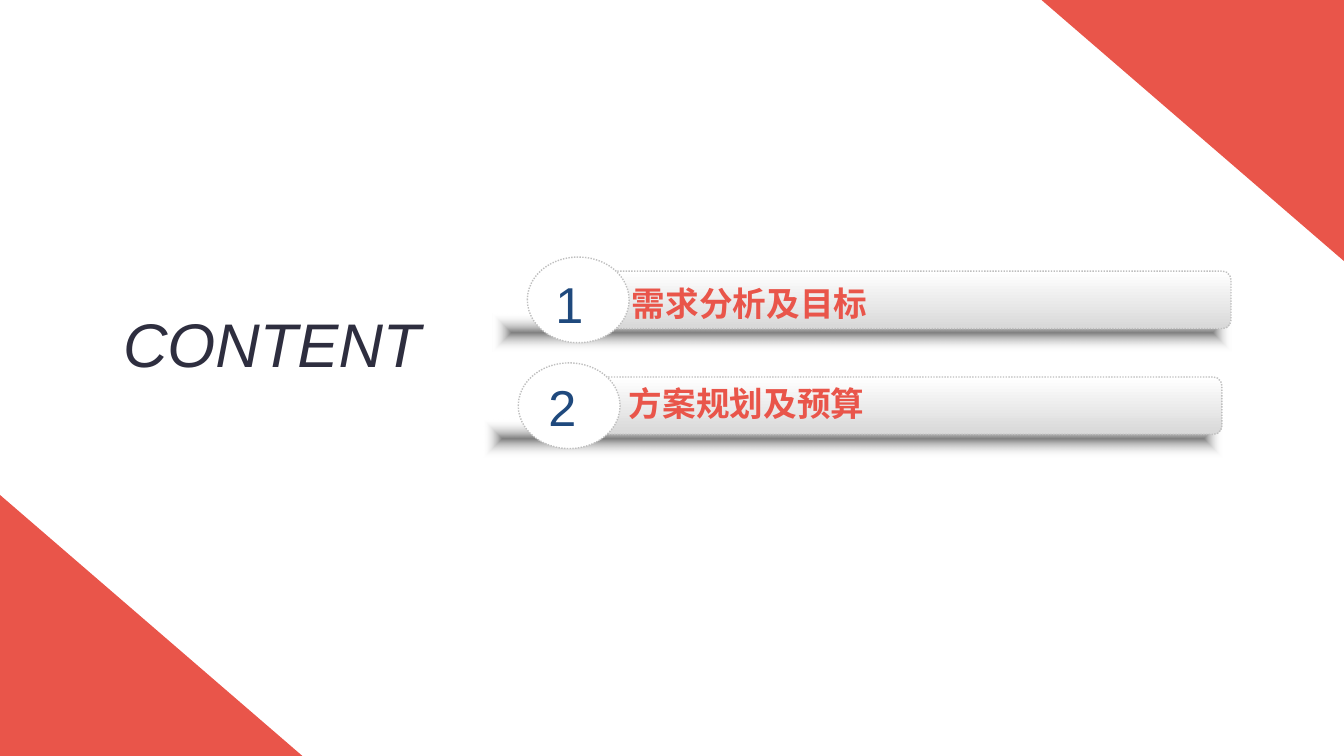
from lxml.etree import SubElement
from pptx import Presentation
from pptx.dml.color import RGBColor
from pptx.enum.dml import MSO_LINE
from pptx.enum.shapes import MSO_SHAPE as Shape
from pptx.enum.text import MSO_ANCHOR, MSO_AUTO_SIZE, PP_ALIGN
from pptx.oxml.ns import qn
from pptx.util import Inches, Pt

CORAL = RGBColor(0xE9, 0x55, 0x4A)
INK = RGBColor(0x2E, 0x2E, 0x3F)
NAVY = RGBColor(0x1F, 0x49, 0x7D)
WHITE = RGBColor(0xFF, 0xFF, 0xFF)
SILVER = RGBColor(0xD9, 0xD9, 0xD9)
EDGE = RGBColor(0xBF, 0xBF, 0xBF)
GREY = RGBColor(0x80, 0x80, 0x80)

ROWS = [
    ("1", "需求分析及目标", (4.89, 2.55), (0.52, 0.11), (1.28, 0.21)),
    ("2", "方案规划及预算", (4.8, 3.6), (0.54, 0.08), (1.34, 0.15)),
]


def add_shape(page, kind, left, top, width, height, fill=None, edge=None):
    """Add a preset shape with a plain fill and an optional dotted edge."""
    shape = page.shapes.add_shape(
        kind, Inches(left), Inches(top), Inches(width), Inches(height))
    shape.shadow.inherit = False
    if fill is not None:
        shape.fill.solid()
        shape.fill.fore_color.rgb = fill
    if edge is None:
        shape.line.fill.background()
    else:
        shape.line.color.rgb = edge
        shape.line.width = Pt(1)
        shape.line.dash_style = MSO_LINE.ROUND_DOT
    return shape


def set_gradient(shape, start, end, end_position=1.0):
    """Fill a shape from top to bottom with two colours."""
    shape.fill.gradient()
    shape.fill.gradient_angle = 270
    stops = shape.fill.gradient_stops
    for stop, color, position in zip(stops, (start, end), (0, end_position)):
        stop.color.rgb = color
        stop.position = position


def fade_to_edges(shape):
    """Turn a gradient into one that spreads from the centre and fades out."""
    gradient = shape.element.spPr.find(qn("a:gradFill"))
    last_color = gradient.find(qn("a:gsLst"))[-1][0]
    SubElement(last_color, qn("a:alpha"), val="0")
    gradient.remove(gradient.find(qn("a:lin")))
    spread = SubElement(gradient, qn("a:path"), {"path": "rect"})
    SubElement(spread, qn("a:fillToRect"),
               {side: "50000" for side in "ltrb"})


def add_text_shadow(span):
    """Give the letters of a run a soft shadow down to the right."""
    effects = SubElement(span.font._element, qn("a:effectLst")) if hasattr(
        span.font, "_element") else SubElement(
        span._r.get_or_add_rPr(), qn("a:effectLst"))
    shadow = SubElement(effects, qn("a:outerShdw"), blurRad="38100",
                        dist="38100", dir="2700000", algn="tl")
    color = SubElement(shadow, qn("a:srgbClr"), val="000000")
    SubElement(color, qn("a:alpha"), val="43000")


def write_text(box, text, size, color, bold=False, italic=False,
               wrap=True, line_spacing=None, shadow=False):
    """Write one left-aligned, top-anchored line into a box."""
    frame = box.text_frame
    frame.word_wrap = wrap
    frame.auto_size = MSO_AUTO_SIZE.SHAPE_TO_FIT_TEXT
    frame.vertical_anchor = MSO_ANCHOR.TOP
    para = frame.paragraphs[0]
    para.alignment = PP_ALIGN.LEFT
    if line_spacing:
        para.line_spacing = line_spacing
    span = para.add_run()
    span.text = text
    span.font.name = "Arial"
    span.font.size = Pt(size)
    span.font.bold = bold
    span.font.italic = italic
    span.font.color.rgb = color
    if shadow:
        effects_before_font = span.font.name
        add_text_shadow(span)
        span.font.name = effects_before_font


def add_corners(page, width, height):
    """Place the coral triangles in two opposite corners."""
    across, down = 3, 2.59
    for left, top, turn in ((width - across, 0, 180), (0, height - down, 0)):
        corner = add_shape(page, Shape.ISOSCELES_TRIANGLE,
                           left, top, across, down, CORAL)
        corner.adjustments[0] = 0
        corner.rotation = turn


def add_title(page, left, top, width, height):
    """Place the slide title in its placeholder."""
    title = page.shapes.title
    title.left, title.top = Inches(left), Inches(top)
    title.width, title.height = Inches(width), Inches(height)
    write_text(title, "CONTENT", 44, INK, italic=True, line_spacing=1.14)


def add_row(page, left, top, number, label, number_offset, label_offset):
    """Draw one numbered agenda bar from its top left corner."""
    glow = add_shape(page, Shape.RECTANGLE, left, top + 0.56, 7.32, 0.38)
    set_gradient(glow, GREY, WHITE)
    fade_to_edges(glow)
    bar = add_shape(page, Shape.ROUNDED_RECTANGLE,
                    left + 1.06, top + 0.14, 6.26, 0.57, edge=EDGE)
    bar.adjustments[0] = 0.15
    set_gradient(bar, WHITE, SILVER, 0.98)
    add_shape(page, Shape.OVAL, left + 0.34, top, 1.01, 0.85, WHITE, EDGE)
    for text, (across, down), (width, height), style in (
            (number, number_offset, (0.5, 0.71),
             {"size": 36, "color": NAVY, "wrap": False, "shadow": True}),
            (label, label_offset, (5.5, 0.5),
             {"size": 24, "color": CORAL, "bold": True})):
        box = page.shapes.add_textbox(
            Inches(left + across), Inches(top + down),
            Inches(width), Inches(height))
        write_text(box, text, **style)


def main():
    """Build the contents slide and save the deck."""
    deck = Presentation()
    deck.slide_width, deck.slide_height = Inches(13.33), Inches(7.5)
    page = deck.slides.add_slide(deck.slide_layouts[5])
    add_corners(page, 13.33, 7.5)
    add_title(page, 1.12, 2.88, 3.61, 0.94)
    for number, label, (left, top), number_offset, label_offset in ROWS:
        add_row(page, left, top, number, label, number_offset, label_offset)
    deck.save("out.pptx")


if __name__ == "__main__":
    main()
